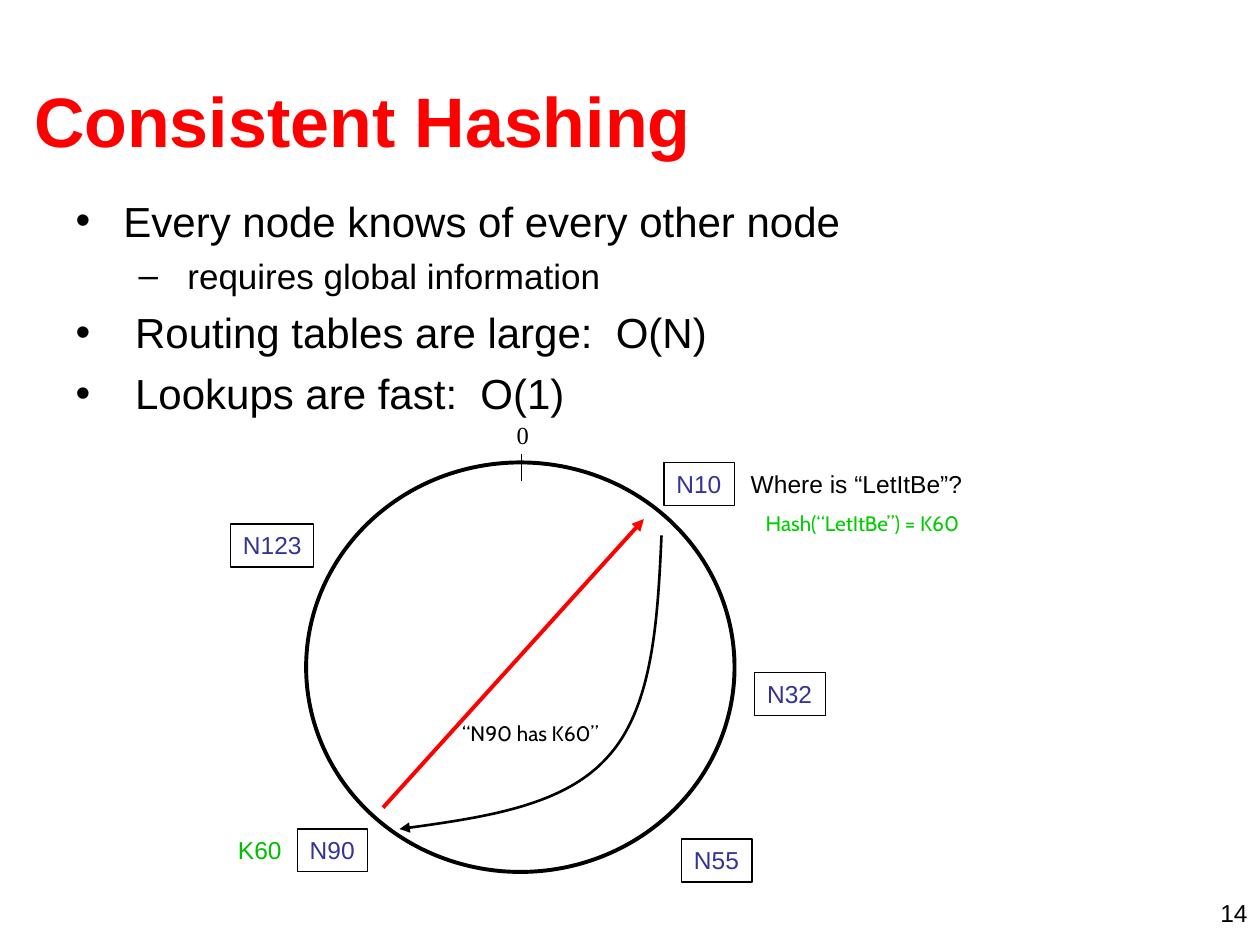
from lxml.etree import SubElement
from pptx import Presentation
from pptx.dml.color import RGBColor
from pptx.enum.shapes import MSO_CONNECTOR, MSO_SHAPE
from pptx.enum.text import MSO_ANCHOR, MSO_AUTO_SIZE, PP_ALIGN
from pptx.oxml.ns import qn
from pptx.util import Inches, Pt

THEME = {
    "ink": "000000", "accent": "FF0000", "node": "333399",
    "hash": "00CC00", "key": "00BE00",
    "sans": "Arial", "casual": "Cabin", "serif": "Times New Roman",
    "title": 40, "bullet": 24, "sub": 20, "label": 14, "note": 12,
}

deck = Presentation()
deck.slide_width, deck.slide_height = Inches(10), Inches(7.5)
COL = deck.slide_width / 100  # grid of 100 columns by 75 rows
ROW = deck.slide_height / 75


def write(paragraph, text, size, color="ink", font="sans", bold=False):
    run = paragraph.add_run()
    run.text = text
    run.font.size, run.font.bold = Pt(THEME[size]), bold
    run.font.name = THEME[font]
    run.font.color.rgb = RGBColor.from_string(THEME[color])


def stroke(outline, width, color="ink", arrow=False):
    outline.line.color.rgb = RGBColor.from_string(THEME[color])
    outline.line.width = Pt(width)
    properties = outline.element.spPr
    if arrow:
        SubElement(properties.find(qn("a:ln")), qn("a:tailEnd"), type="triangle")
    if properties.find(qn("a:effectLst")) is None:
        SubElement(properties, qn("a:effectLst"))


slide = deck.slides.add_slide(deck.slide_layouts[1])
shapes = slide.shapes

# Title
title = shapes.title
title.left, title.top = int(1.7 * COL), int(3.2 * ROW)
title.width, title.height = int(95.8 * COL), int(12.5 * ROW)
title.text_frame.vertical_anchor = MSO_ANCHOR.MIDDLE
title.text_frame.auto_size = MSO_AUTO_SIZE.NONE
heading = title.text_frame.paragraphs[0]
heading.alignment = PP_ALIGN.LEFT
write(heading, "Consistent Hashing", "title", "accent", bold=True)

# Bulleted list: level -> size, bullet, margin, hanging indent, space before
LEVELS = [("bullet", "•", 3.8, 3.8, 6), ("sub", "–", 8.1, 3.1, 5)]
POINTS = [
    (0, "Every node knows of every other node"),
    (1, " requires global information"),
    (0, " Routing tables are large:  O(N)"),
    (0, " Lookups are fast:  O(1)"),
]
body = slide.placeholders[1]
body.left, body.top = int(5 * COL), int(15 * ROW)
body.width, body.height = int(90 * COL), int(22 * ROW)
body.text_frame.auto_size = MSO_AUTO_SIZE.NONE
for index, (level, text) in enumerate(POINTS):
    point = body.text_frame.add_paragraph() if index else body.text_frame.paragraphs[0]
    size, bullet, margin, hang, before = LEVELS[level]
    point.level, point.space_before = level, Pt(before)
    write(point, text, size)
    settings = point._p.get_or_add_pPr()
    settings.set("marL", str(int(margin * COL)))
    settings.set("indent", str(int(-hang * COL)))
    bullet_color = SubElement(settings, qn("a:buClr"))
    SubElement(bullet_color, qn("a:srgbClr"), val=THEME["ink"])
    SubElement(settings, qn("a:buFont"), typeface=THEME["sans"])
    SubElement(settings, qn("a:buChar"), char=bullet)

# Identifier ring
ring = shapes.add_shape(MSO_SHAPE.OVAL, int(24.3 * COL), int(36.7 * ROW),
                        int(34 * COL), int(32.5 * ROW))
ring.shadow.inherit = False
ring.fill.background()
stroke(ring, 2.25)

# Zero mark and the direct reply: start, end, width, colour, arrow
for (x1, y1), (x2, y2), width, color, arrow in [
    ((41.4, 36), (41.4, 38.2), 0.75, "ink", False),
    ((30.4, 64.1), (51.1, 41.2), 2.25, "accent", True),
]:
    line = shapes.add_connector(MSO_CONNECTOR.STRAIGHT, int(x1 * COL), int(y1 * ROW),
                                int(x2 * COL), int(y2 * ROW))
    stroke(line, width, color, arrow)

# Curved lookup arrow: two Bezier segments, three points each
CURVE = [(52.2, 49.3), (51.8, 56.1), (48.3, 60),
         (44.9, 63.9), (38.3, 64.9), (31.7, 65.8)]
builder = shapes.build_freeform(int(52.5 * COL), int(42.5 * ROW))
builder.add_line_segments([(int(x * COL), int(y * ROW)) for x, y in CURVE], close=False)
lookup = builder.convert_to_shape()
lookup.shadow.inherit = False
lookup.fill.background()
stroke(lookup, 1.5, arrow=True)
outline = next(lookup.element.iter(qn("a:path")))
segments = outline.findall(qn("a:lnTo"))
for start in range(0, len(segments), 3):
    bezier = SubElement(outline, qn("a:cubicBezTo"))
    for segment in segments[start:start + 3]:
        bezier.append(segment[0])
        outline.remove(segment)

# Nodes on the ring
for name, left, top, width in [
    ("N10", 52.7, 36.7, 5.6), ("N32", 59.9, 53.4, 5.6), ("N55", 54.1, 66.6, 5.6),
    ("N90", 23.6, 65.8, 5.6), ("N123", 18.3, 41.6, 6.6),
]:
    node = shapes.add_shape(MSO_SHAPE.RECTANGLE, int(left * COL), int(top * ROW),
                            int(width * COL), int(3.4 * ROW))
    node.shadow.inherit = False
    node.fill.background()
    stroke(node, 0.75)
    node.text_frame.word_wrap = False
    node.text_frame.vertical_anchor = MSO_ANCHOR.TOP
    node.text_frame.paragraphs[0].alignment = PP_ALIGN.LEFT
    write(node.text_frame.paragraphs[0], name, "label", "node")

# Captions and page number
LEFT, CENTER, RIGHT = PP_ALIGN.LEFT, PP_ALIGN.CENTER, PP_ALIGN.RIGHT
for text, left, top, width, height, align, wrap, size, color, font in [
    ("0", 40, 32.8, 3, 3.4, CENTER, False, "label", "ink", "serif"),
    ("Where is “LetItBe”? ", 54.2, 36.7, 28.1, 3.4, CENTER, True, "label", "ink", "sans"),
    ("Hash(“LetItBe”) = K60", 59.2, 40, 18.5, 3, CENTER, False, "note", "hash", "casual"),
    ("“N90 has K60”", 35.7, 56.7, 12.9, 3, LEFT, False, "note", "ink", "casual"),
    ("K60", 17.9, 65.8, 5.6, 3.4, LEFT, False, "label", "key", "sans"),
    ("14", 76.7, 70.8, 23.3, 2.5, RIGHT, True, "label", "ink", "sans"),
]:
    caption = shapes.add_textbox(int(left * COL), int(top * ROW),
                                 int(width * COL), int(height * ROW))
    caption.text_frame.word_wrap = wrap
    if not wrap:
        caption.text_frame.auto_size = MSO_AUTO_SIZE.SHAPE_TO_FIT_TEXT
    caption.text_frame.vertical_anchor = MSO_ANCHOR.MIDDLE if align == CENTER else MSO_ANCHOR.TOP
    caption.text_frame.paragraphs[0].alignment = align
    write(caption.text_frame.paragraphs[0], text, size, color, font)

deck.save("out.pptx")
